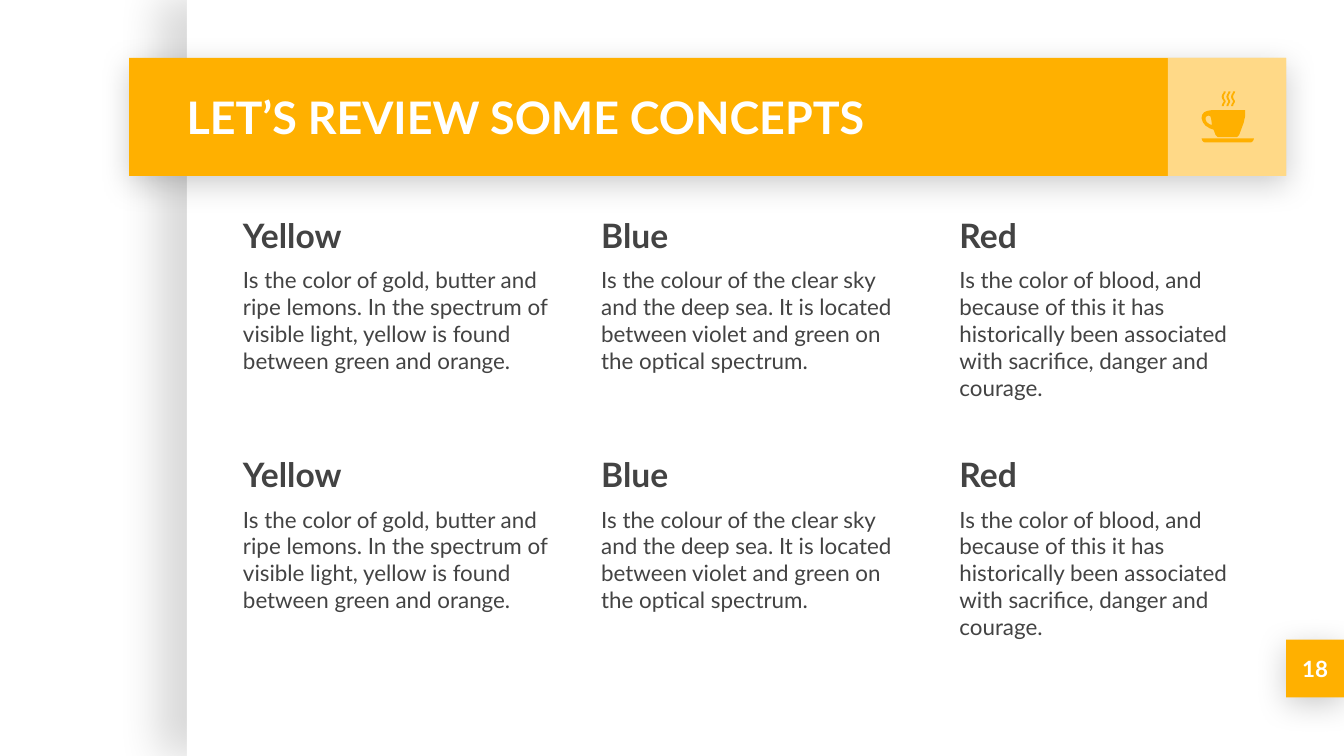
from lxml import etree
from pptx import Presentation
from pptx.dml.color import RGBColor
from pptx.enum.shapes import MSO_SHAPE as SHAPE
from pptx.enum.text import MSO_ANCHOR as ANCHOR, PP_ALIGN as ALIGN
from pptx.oxml.ns import qn
from pptx.util import Inches, Pt

SLIDE_W = 10
SLIDE_H = SLIDE_W * 9 / 16

YELLOW = RGBColor(0xFF, 0xB0, 0x00)
WHITE = RGBColor(0xFF, 0xFF, 0xFF)
GREY = RGBColor(0x43, 0x43, 0x43)

TITLE = {"size": Pt(24), "bold": True, "color": WHITE}
HEADING = {"size": Pt(18), "bold": True, "color": GREY}
BODY = {"size": Pt(12), "bold": False, "color": GREY}
NUMBER = {"size": Pt(12), "bold": True, "color": WHITE}

# Shadows: opacity in percent, blur and distance in points, direction in degrees
PANEL_SHADOW = (15, 22.5, 15, 180)
BAR_SHADOW = (20, 16.9, 3.8, 90)

CONCEPTS = [
    ("Yellow", "Is the color of gold, butter and ripe lemons. In the spectrum of "
               "visible light, yellow is found between green and orange."),
    ("Blue", "Is the colour of the clear sky and the deep sea. It is located "
             "between violet and green on the optical spectrum."),
    ("Red", "Is the color of blood, and because of this it has historically been "
            "associated with sacrifice, danger and courage."),
]

# Icon outlines in thousandths of an inch from the icon's top left corner
CUP = [(75, 140), (325, 140), (325, 180), (315, 230), (295, 285), (280, 325),
       (265, 340), (120, 340), (105, 325), (90, 285), (60, 275), (30, 255),
       (10, 230), (0, 200), (5, 175), (20, 155), (45, 145)]
HANDLE_HOLE = [(50, 180), (65, 185), (72, 205), (78, 250), (60, 245),
               (40, 230), (30, 210), (32, 190)]
SAUCER = [(0, 350), (390, 350), (385, 365), (375, 378), (365, 380),
          (25, 380), (15, 378), (5, 365)]
STEAM_EDGE = [(15, 0), (14, 10), (4, 25), (0, 40), (4, 55), (14, 70),
              (14, 80), (4, 95), (0, 110)]
STEAM_WIDTH = 15


def add_shadow(sp, opacity, blur, distance, direction):
    effects = sp._element.spPr.find(qn("a:effectLst"))
    shadow = etree.SubElement(effects, qn("a:outerShdw"), {
        "blurRad": str(Pt(blur)), "dist": str(Pt(distance)),
        "dir": str(direction * 60000), "algn": "bl", "rotWithShape": "0"})
    color = etree.SubElement(shadow, qn("a:srgbClr"), val="000000")
    etree.SubElement(color, qn("a:alpha"), val=str(opacity * 1000))


def paint(sp, color, shadow=None, opacity=None):
    sp.shadow.inherit = False
    sp.fill.solid()
    sp.fill.fore_color.rgb = color
    sp.line.fill.background()
    if shadow:
        add_shadow(sp, *shadow)
    if opacity:
        clr = sp._element.spPr.find(qn("a:solidFill"))[0]
        etree.SubElement(clr, qn("a:alpha"), val=str(opacity * 1000))


def add_rect(s, x, y, w, h, color, **effects):
    sp = s.shapes.add_shape(SHAPE.RECTANGLE, Inches(x), Inches(y), Inches(w), Inches(h))
    paint(sp, color, **effects)


def add_text(s, x, y, w, h, paragraphs, anchor=ANCHOR.TOP, align=ALIGN.LEFT, before=0):
    tf = s.shapes.add_textbox(Inches(x), Inches(y), Inches(w), Inches(h)).text_frame
    frame = {"word_wrap": True, "vertical_anchor": anchor}
    frame.update({"margin_" + side: Inches(0.1)
                  for side in ("left", "right", "top", "bottom")})
    for name, value in frame.items():
        setattr(tf, name, value)
    for i, (text, style) in enumerate(paragraphs):
        p = tf.add_paragraph() if i else tf.paragraphs[0]
        p.alignment = align
        p.space_before = Pt(before)
        r = p.add_run()
        r.text = text
        r.font.name = "Lato"
        for name, value in style.items():
            if name == "color":
                r.font.color.rgb = value
            else:
                setattr(r.font, name, value)


def add_outline(group, x, y, *contours):
    """Draw closed contours as one shape; an inner contour becomes a hole."""
    first, *others = contours
    builder = group.shapes.build_freeform(*first[0], scale=Inches(1) / 1000)
    builder.add_line_segments(first[1:], close=True)
    for contour in others:
        builder.move_to(*contour[0])
        builder.add_line_segments(contour[1:], close=True)
    paint(builder.convert_to_shape(Inches(x), Inches(y)), YELLOW)


def add_coffee_icon(s, x, y):
    group = s.shapes.add_group_shape()
    add_outline(group, x, y, CUP, HANDLE_HOLE)
    add_outline(group, x, y, SAUCER)
    right_edge = [(px + STEAM_WIDTH, py) for px, py in reversed(STEAM_EDGE)]
    for dx in (0.15, 0.185, 0.22):
        add_outline(group, x + dx, y, STEAM_EDGE + right_edge)


def add_title_bar(s, x, y, w, h, title):
    add_rect(s, x, y, w, h, YELLOW, shadow=BAR_SHADOW)
    icon_x = x + w - h
    add_rect(s, icon_x, y, h, h, WHITE, opacity=53)
    add_text(s, x + 0.33, y, icon_x - x - 0.36, h, [(title, TITLE)], ANCHOR.MIDDLE)
    add_coffee_icon(s, icon_x + 0.25, y + 0.25)


def add_concept_grid(s, x, y, w, h, rows=2):
    cell_w, cell_h = 2.53, 1.67
    step_x = (w - cell_w) / (len(CONCEPTS) - 1)
    step_y = (h - cell_h) / (rows - 1)
    for row in range(rows):
        for col, (name, text) in enumerate(CONCEPTS):
            add_text(s, x + col * step_x, y + row * step_y, cell_w, cell_h,
                     [(name, HEADING), (text, BODY)], before=6)


def add_page_number(s, x, y, size, number):
    add_rect(s, x, y, size, size, YELLOW, shadow=BAR_SHADOW)
    add_text(s, x, y, size, size, [(number, NUMBER)], ANCHOR.MIDDLE, ALIGN.CENTER)


def main():
    prs = Presentation()
    prs.slide_width, prs.slide_height = Inches(SLIDE_W), Inches(SLIDE_H)
    s = prs.slides.add_slide(prs.slide_layouts[6])

    # Content panel
    add_rect(s, 1.39, 0, SLIDE_W - 1.39, SLIDE_H, WHITE, shadow=PANEL_SHADOW)
    # Title bar, concepts and page number
    add_title_bar(s, 0.96, 0.43, 8.61, 0.88, "LET’S REVIEW SOME CONCEPTS")
    add_concept_grid(s, 1.71, 1.5, 7.86, 3.45)
    add_page_number(s, 9.57, 4.76, 0.43, "18")

    prs.save("out.pptx")


if __name__ == "__main__":
    main()
